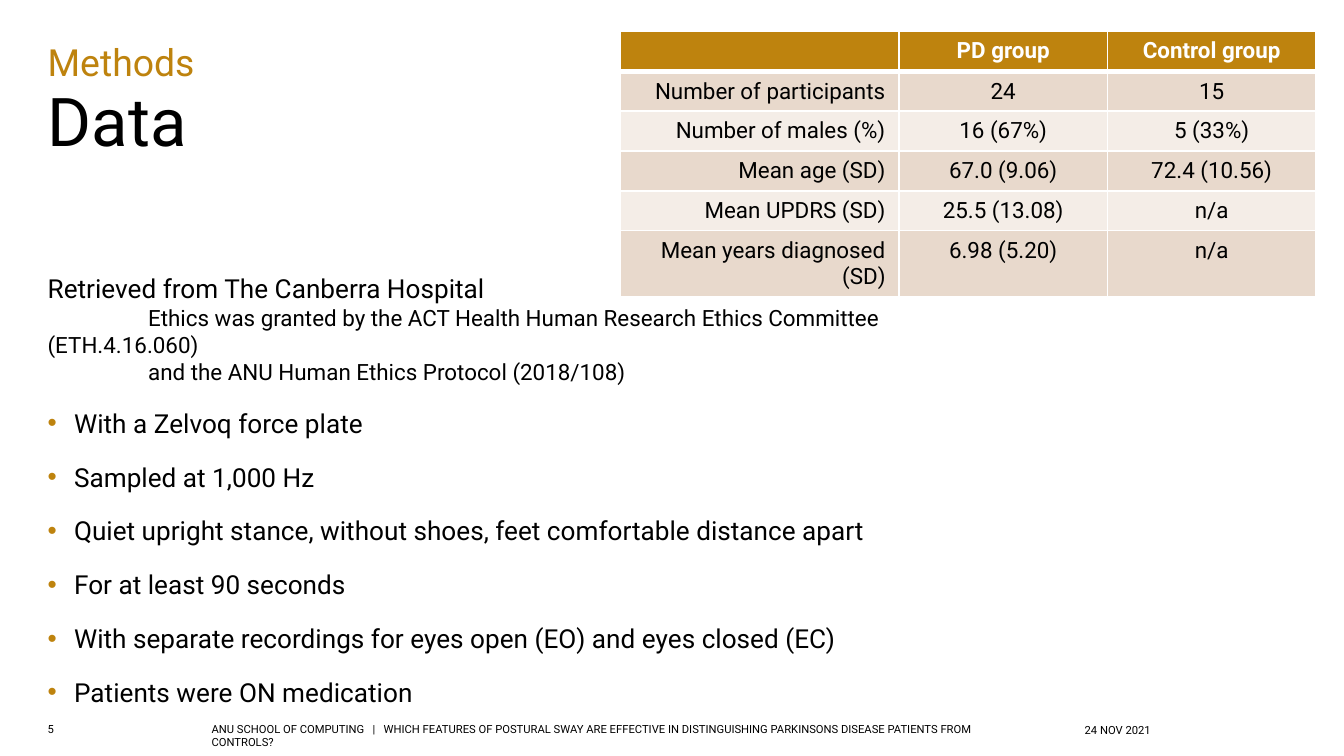
import pptx
import pptx.dml.color
import pptx.enum.text
import pptx.oxml
import pptx.oxml.ns
import pptx.util

Cm, Pt = pptx.util.Cm, pptx.util.Pt
ALIGN = pptx.enum.text.PP_ALIGN
ANCHOR = pptx.enum.text.MSO_ANCHOR

# Content
HEADING = [("Methods", 20, "BE830E"), ("Data", 36, "000000")]
SOURCE_LINES = [
    ("Retrieved from The Canberra Hospital ", 14),
    ("\tEthics was granted by the ACT Health Human Research Ethics Committee (ETH.4.16.060)", 12),
    ("\tand the ANU Human Ethics Protocol (2018/108)", 12),
]
BULLETS = [
    "With a Zelvoq force plate",
    "Sampled at 1,000 Hz",
    "Quiet upright stance, without shoes, feet comfortable distance apart",
    "For at least 90 seconds",
    "With separate recordings for eyes open (EO) and eyes closed (EC)",
    "Patients were ON medication",
]
PARTICIPANTS = [
    ("", "PD group", "Control group"),
    ("Number of participants", "24", "15"),
    ("Number of males (%)", "16 (67%)", "5 (33%)"),
    ("Mean age (SD)", "67.0 (9.06)", "72.4 (10.56)"),
    ("Mean UPDRS (SD)", "25.5 (13.08)", "n/a"),
    ("Mean years diagnosed (SD)", "6.98 (5.20)", "n/a"),
]
# Footer: text, left, width, vertical anchor
FOOTER = [
    ("5", 0.9, 0.99, ANCHOR.TOP),
    ("ANU SCHOOL OF COMPUTING   |   WHICH FEATURES OF POSTURAL SWAY ARE EFFECTIVE IN "
     "DISTINGUISHING PARKINSONS DISEASE PATIENTS FROM CONTROLS?", 4, 15.01, ANCHOR.TOP),
    ("24 NOV 2021", 20.5, 2.01, ANCHOR.MIDDLE),
]

# Look
GOLD, BLACK, WHITE = "BE830E", "000000", "FFFFFF"
BANDS = ["E8D9CC", "F4EDE7"]
COLUMN_WIDTHS = [5.26, 3.94, 3.94]
ROW_HEIGHT = 0.61
FRAME = dict(margin_left=0, margin_top=0, margin_right=0, margin_bottom=0, word_wrap=True,
             auto_size=pptx.enum.text.MSO_AUTO_SIZE.NONE)


def color(hex_value):
    return pptx.dml.color.RGBColor.from_string(hex_value)


def apply(target, values):
    for name, value in values.items():
        setattr(target, name, value)


def add_xml(parent, tag, **attributes):
    element = pptx.oxml.parse_xml(f"<{tag} {pptx.oxml.ns.nsdecls('a')}/>")
    for name, value in attributes.items():
        element.set(name, str(value))
    parent.append(element)
    return element


def add_text(paragraph, text, size, hex_value=BLACK, bold=False):
    run = paragraph.add_run()
    run.text = text
    apply(run.font, dict(name="Roboto", size=Pt(size), bold=bold))
    run.font.color.rgb = color(hex_value)


def prepare(shape, left, top, width, height, anchor=ANCHOR.TOP):
    apply(shape, dict(left=Cm(left), top=Cm(top), width=Cm(width), height=Cm(height)))
    apply(shape.text_frame, dict(FRAME, vertical_anchor=anchor))
    return shape.text_frame


def next_paragraph(frame, is_first, **values):
    paragraph = frame.paragraphs[0] if is_first else frame.add_paragraph()
    apply(paragraph, dict(alignment=ALIGN.LEFT, space_before=Pt(0), **values))
    return paragraph


def indent(paragraph, left, first_line):
    properties = paragraph._p.get_or_add_pPr()
    properties.set("marL", str(Cm(left)))
    properties.set("indent", str(Cm(first_line)))
    return properties


def add_border(cell, side, width):
    line = add_xml(cell._tc.get_or_add_tcPr(), f"a:ln{side}", w=Pt(width))
    add_xml(add_xml(line, "a:solidFill"), "a:srgbClr", val=WHITE)


presentation = pptx.Presentation()
apply(presentation, dict(slide_width=Cm(25.4), slide_height=Cm(14.28)))
slide = presentation.slides.add_slide(presentation.slide_layouts[1])

# Heading
frame = prepare(slide.shapes.title, 0.9, 0.9, 23.5, 2.64)
for index, (text, size, hex_value) in enumerate(HEADING):
    paragraph = next_paragraph(frame, index == 0, line_spacing=0.8, space_after=Pt(6))
    add_text(paragraph, text, size, hex_value)

# Data source, as one paragraph of three lines
frame = prepare(slide.placeholders[1], 0.9, 5.15, 17.6, 8.51)
paragraph = next_paragraph(frame, True, space_after=Pt(12))
properties = indent(paragraph, 0, 0)
properties.set("defTabSz", str(Cm(1.9)))
add_xml(properties, "a:buNone")
for index, (text, size) in enumerate(SOURCE_LINES):
    if index:
        add_xml(add_xml(paragraph._p, "a:br"), "a:rPr", sz=size * 100)
    add_text(paragraph, text, size)

# Recording details
for text in BULLETS:
    paragraph = next_paragraph(frame, False, level=2, space_after=Pt(12))
    properties = indent(paragraph, 0.5, -0.5)
    add_xml(add_xml(properties, "a:buClr"), "a:srgbClr", val=GOLD)
    add_xml(properties, "a:buFont", typeface="Arial")
    add_xml(properties, "a:buChar", char="•")
    add_text(paragraph, text, 14)

# Participants table
table = slide.shapes.add_table(
    len(PARTICIPANTS), len(COLUMN_WIDTHS), Cm(11.73), Cm(0.58),
    Cm(sum(COLUMN_WIDTHS)), Cm(ROW_HEIGHT * len(PARTICIPANTS))).table
for column, width in zip(table.columns, COLUMN_WIDTHS):
    column.width = Cm(width)
for row_index, values in enumerate(PARTICIPANTS):
    is_header = row_index == 0
    table.rows[row_index].height = Cm(ROW_HEIGHT)
    for column_index, text in enumerate(values):
        cell = table.cell(row_index, column_index)
        for side in "LRTB":
            heavy = is_header and side == "B"
            add_border(cell, side, 3 if heavy else 1)
        cell.fill.solid()
        cell.fill.fore_color.rgb = color(GOLD if is_header else BANDS[(row_index - 1) % 2])
        paragraph = cell.text_frame.paragraphs[0]
        paragraph.alignment = ALIGN.CENTER if column_index or is_header else ALIGN.RIGHT
        if text:
            add_text(paragraph, text, 12, WHITE if is_header else BLACK, is_header)
        else:
            add_xml(paragraph._p, "a:endParaRPr", sz=1200)

# Footer
for text, left, width, anchor in FOOTER:
    box = slide.shapes.add_textbox(0, 0, 0, 0)
    frame = prepare(box, left, 13.64, width, 0.3, anchor)
    add_text(next_paragraph(frame, True), text, 6)

presentation.save("out.pptx")
